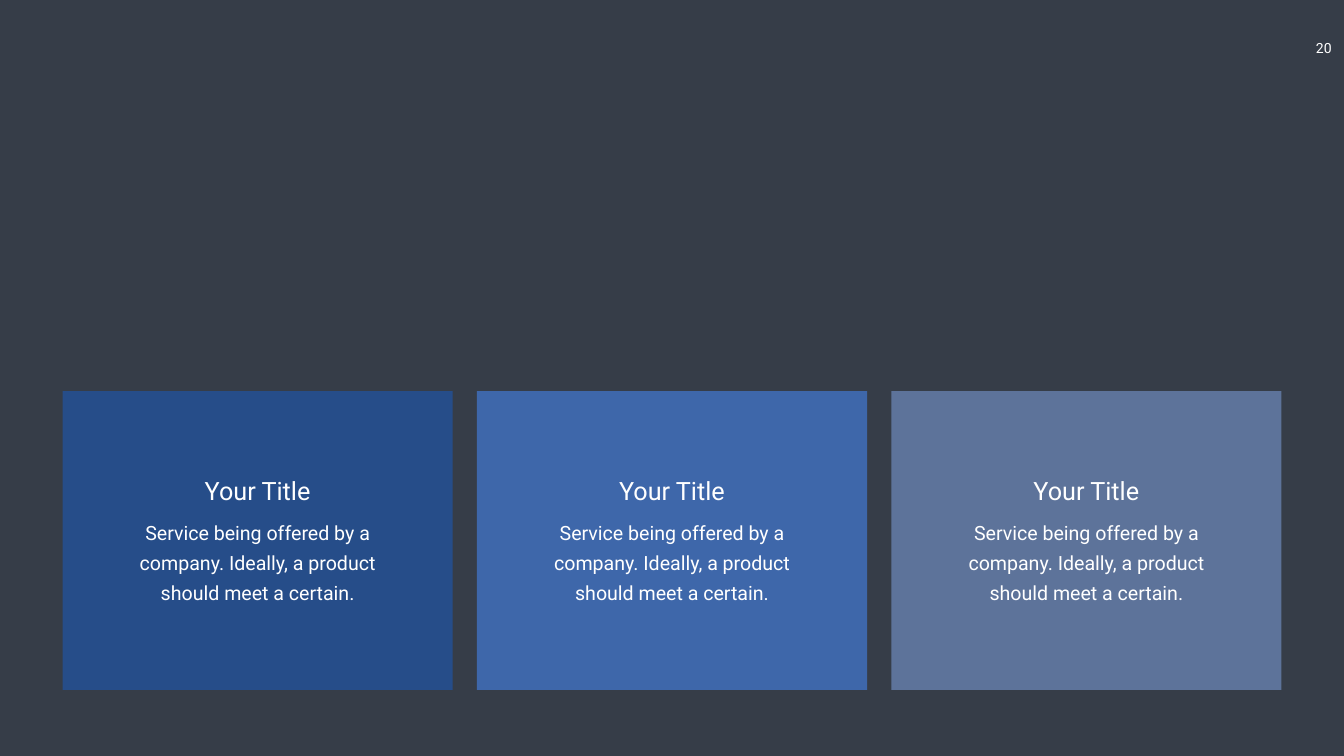
from dataclasses import dataclass

from pptx import Presentation
from pptx.dml.color import RGBColor as RGB
from pptx.enum.shapes import MSO_SHAPE as Shape
from pptx.enum.text import MSO_AUTO_SIZE as AutoSize, PP_ALIGN as Align
from pptx.util import Inches, Pt


@dataclass(frozen=True)
class Theme:
    font: str = "Roboto"
    background: str = "363D48"
    text: str = "FFFFFF"
    cards: tuple = ("264D89", "3E67AA", "5D739A")
    title_size: int = 36
    body_size: int = 28
    number_size: int = 20
    body_leading: int = 43


class Deck:
    """Holds the theme, the current slide and its grid."""

    WIDTH, HEIGHT = 26.66, 15
    MARGIN, GAP, ROWS = 1.24, 0.48, 15

    def __init__(self, theme):
        self.theme = theme
        self.presentation = Presentation()
        self.presentation.slide_width = Inches(self.WIDTH)
        self.presentation.slide_height = Inches(self.HEIGHT)
        self.slide = self.presentation.slides.add_slide(self.presentation.slide_layouts[6])
        fill = self.slide.background.fill
        fill.solid()
        fill.fore_color.rgb = RGB.from_string(theme.background)
        count = len(theme.cards)
        self.column_width = (self.WIDTH - 2 * self.MARGIN - (count - 1) * self.GAP) / count

    def cell(self, column, top, rows, inset=0.0):
        """Box in a column; top and height in rows, inset as a share of the column."""
        row = self.HEIGHT / self.ROWS
        side = inset * self.column_width
        left = self.MARGIN + column * (self.column_width + self.GAP) + side
        lengths = (left, top * row, self.column_width - 2 * side, rows * row)
        return [Inches(length) for length in lengths]

    def share(self, left, top, width, height):
        """Box given as shares of the slide's size."""
        return [Inches(left * self.WIDTH), Inches(top * self.HEIGHT),
                Inches(width * self.WIDTH), Inches(height * self.HEIGHT)]

    def panel(self, shapes, box, color):
        shape = shapes.add_shape(Shape.RECTANGLE, *box)
        shape.shadow.inherit = False
        shape.fill.solid()
        shape.fill.fore_color.rgb = RGB.from_string(color)
        shape.line.fill.background()

    def text(self, shapes, box, words, size, margins=(0.1, 0.05), leading=None, wrap=True):
        frame = shapes.add_textbox(*box).text_frame
        frame.word_wrap = wrap
        frame.auto_size = AutoSize.SHAPE_TO_FIT_TEXT
        frame.margin_left = frame.margin_right = Inches(margins[0])
        frame.margin_top = frame.margin_bottom = Inches(margins[1])
        paragraph = frame.paragraphs[0]
        paragraph.text = words
        paragraph.alignment = Align.CENTER
        if leading:
            paragraph.line_spacing = Pt(leading)
        paragraph.font.name = self.theme.font
        paragraph.font.size = Pt(size)
        paragraph.font.color.rgb = RGB.from_string(self.theme.text)

    def card(self, column, color, title, body):
        shapes = self.slide.shapes.add_group_shape().shapes
        self.panel(shapes, self.cell(column, 7.76, 5.93), color)
        self.text(shapes, self.cell(column, 10.09, 2, inset=0.1), body,
                  self.theme.body_size, (0.24, 0.12), self.theme.body_leading)
        self.text(shapes, self.cell(column, 9.38, 0.71, inset=0.15), title,
                  self.theme.title_size)

    def page_number(self, number):
        self.text(self.slide.shapes, self.share(0.97, 0.045, 0.03, 0.036), number,
                  self.theme.number_size, (0.2, 0.1), wrap=False)


def main():
    theme = Theme()
    deck = Deck(theme)

    # Page number in the top right corner
    deck.page_number("20")

    # Row of service cards
    for column, color in enumerate(theme.cards):
        deck.card(column, color, "Your Title",
                  "Service being offered by a company. "
                  "Ideally, a product should meet a certain.")

    deck.presentation.save("out.pptx")


if __name__ == "__main__":
    main()
